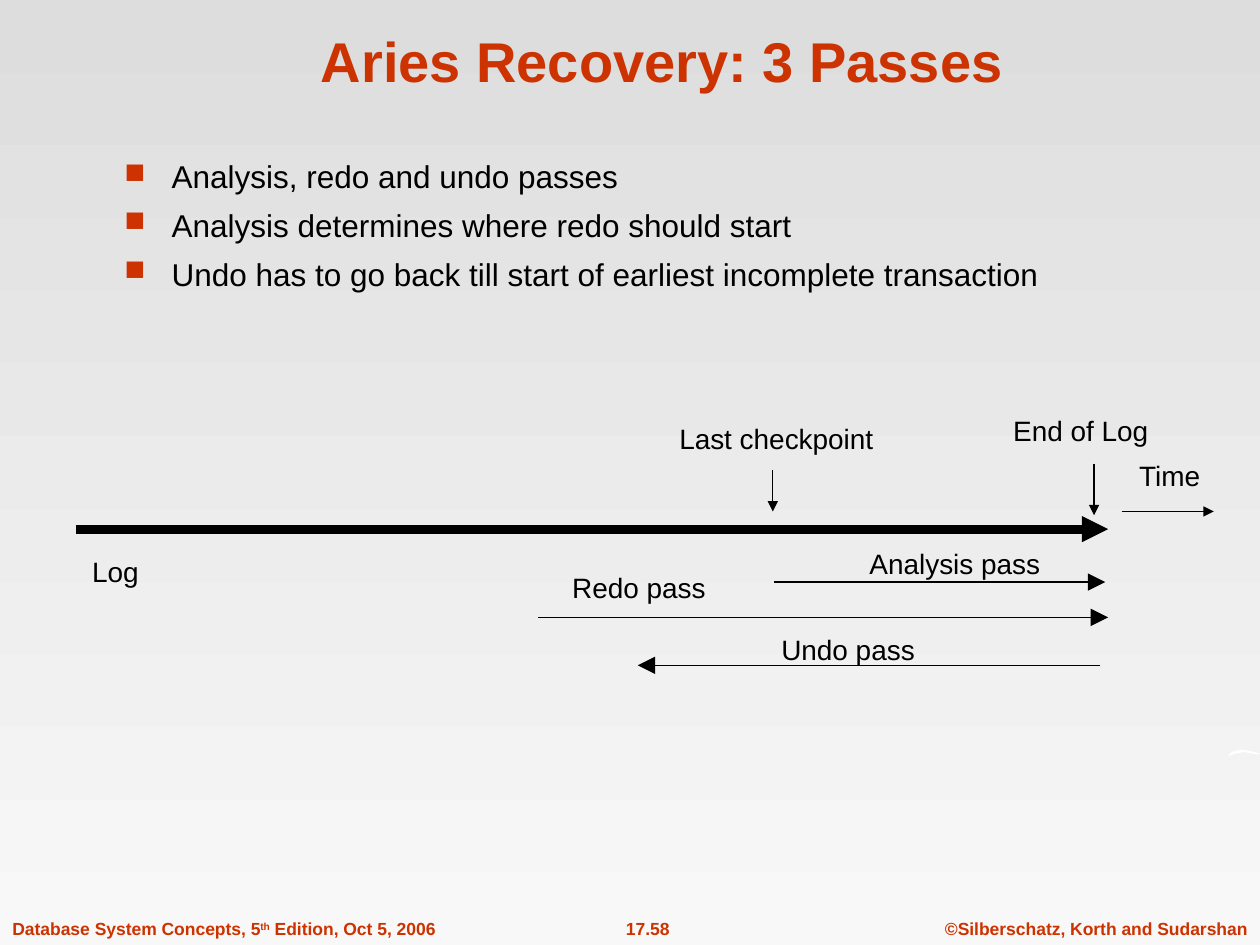
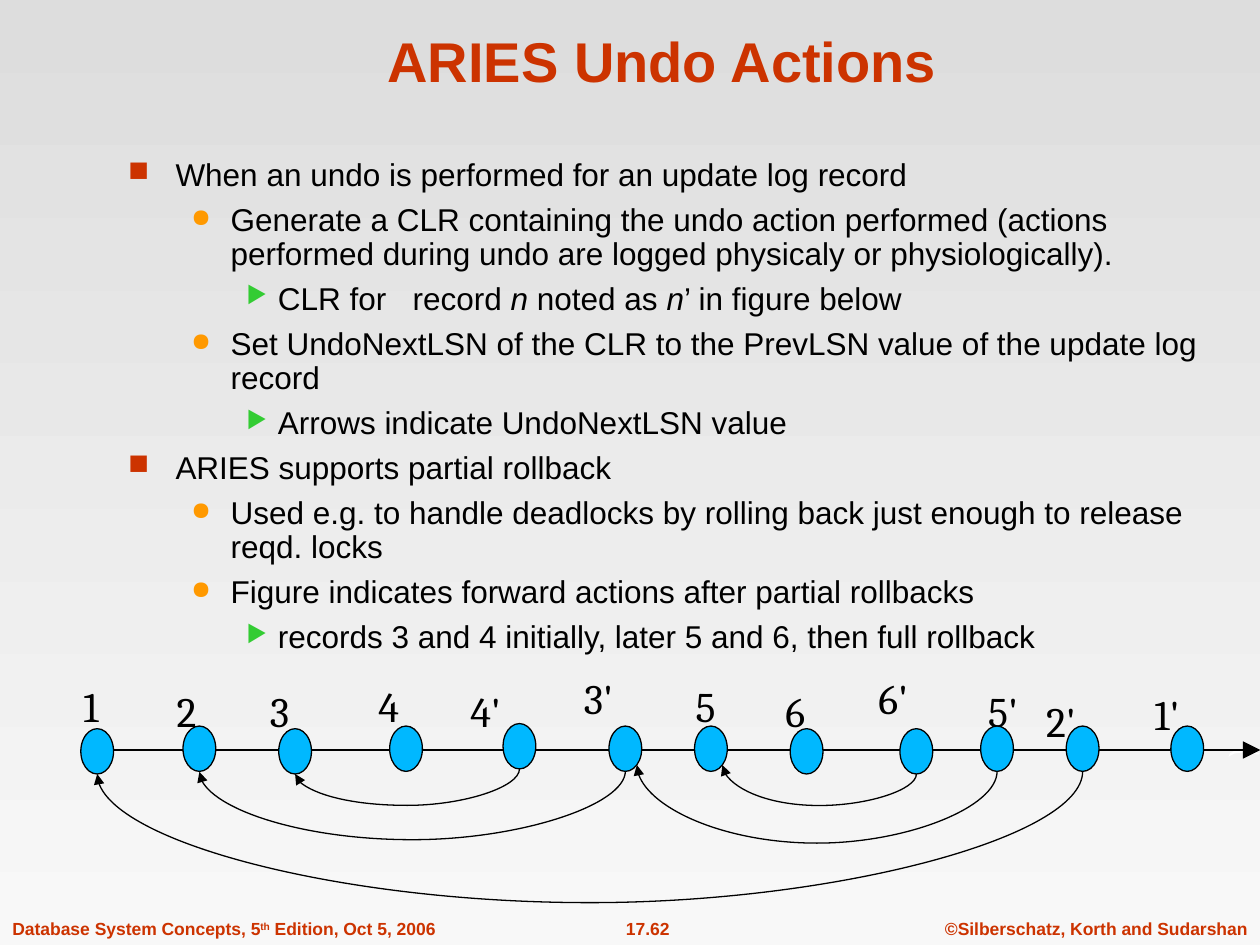
import lxml.etree
import pptx
import pptx.dml.color
import pptx.enum.shapes
import pptx.enum.text
import pptx.oxml.ns
import pptx.util

Pt = pptx.util.Pt
ALIGN = pptx.enum.text.PP_ALIGN
ANCHOR = pptx.enum.text.MSO_ANCHOR
CONNECTOR = pptx.enum.shapes.MSO_CONNECTOR

RED, BLACK, WHITE, BLUE = "CC3300", "000000", "FFFFFF", "00B8FF"
SKY_TOP, SKY_BOTTOM = "DDDDDD", "F8F8F8"
FONT, NODE_FONT = "Arial", "Cambria"

BULLETS = [
    ("■", RED, 90, 27, -27),
    ("●", "FF9900", 80, 58.5, -22.5),
    ("▶", "33CC33", 75, 85.5, -18),
]
SWOOSH = [
    (0, 4.3), (0.7, 2.2), (2.9, 0.9), (7.2, 0), (12.2, 0.7), (18, 2.2),
    (17.3, 2.9), (15.1, 2.5), (9.4, 1.4), (3.6, 2.2), (0.7, 3.6),
]

PASSES = [
    (0, ["Analysis, redo and undo passes"]),
    (0, ["Analysis determines where redo should start"]),
    (0, ["Undo has to go back till start of earliest incomplete transaction"]),
]
LOG_ARROWS = [
    (0, 70.4, 590, 70.4, 5, "med"),
    (597.8, 60.3, 650.4, 60.3, 0.75, "med"),
    (398.4, 36.6, 398.4, 60.3, 0.75, "med"),
    (399.1, 100.6, 588.4, 100.6, 0.75, "lg"),
    (582, 33, 582, 62.5, 0.75, "med"),
    (264.4, 120.8, 590, 120.8, 0.75, "lg"),
    (585.6, 148.2, 321.3, 148.2, 0.75, "lg"),
]
LOG_LABELS = [
    ("Last checkpoint", 337.9, 5.6, 125.3),
    ("Log", 2.4, 81.2, 41),
    ("Time", 600.7, 26.5, 49.7),
    ("End of Log", 528.7, 0.6, 92.2),
    ("Analysis pass", 446.6, 76.9, 114),
    ("Redo pass", 276.7, 90.6, 90.7),
    ("Undo pass", 396.2, 125.8, 90.7),
]

UNDO_POINTS = [
    (0, ["When an undo is performed for an update log record"]),
    (1, ["Generate a CLR containing the undo action performed (actions performed "
         "during undo are logged physicaly or physiologically)."]),
    (2, ["CLR for", (" ", "wide"), "record ", ("n", "italic"), " noted as ",
         ("n", "italic"), "’ in figure below"]),
    (1, ["Set UndoNextLSN of the CLR to the PrevLSN value of the update log record"]),
    (2, ["Arrows indicate UndoNextLSN value"]),
    (0, ["ARIES supports partial rollback"]),
    (1, ["Used e.g. to handle deadlocks by rolling back just enough to release reqd. locks"]),
    (1, ["Figure indicates forward actions after partial rollbacks"]),
    (2, ["records 3 and 4 initially, later 5 and 6, then full rollback"]),
]
NODE_WIDTH, NODE_HEIGHT = 18.7, 25.9
NODES = {
    "1": (0, 28.2, 1.5, 5.1),
    "2": (58.4, 26.7, 54.8, 8),
    "3": (113.1, 28.2, 108.1, 8),
    "4": (176.5, 26.7, 170, 5.1),
    "4'": (241.3, 25.3, 222.6, 8),
    "3'": (301.8, 26.7, 287.4, 0.8),
    "5": (350.7, 26.7, 351.4, 5.1),
    "6": (405.4, 28.2, 402.6, 8),
    "6'": (468.1, 28.2, 455.8, 0.8),
    "5'": (514.2, 26.7, 518.5, 8),
    "2'": (563.1, 26.7, 551.6, 13.8),
    "1'": (622.9, 26.7, 613.5, 9.4),
}
NODES_BEHIND_LABELS = 7
BOTTOM, LOWER_RIGHT = (0.5, 1), (0.85, 0.86)
UNDO_LINKS = [
    ("2'", "1", BOTTOM, 74.9),
    ("6'", "5", LOWER_RIGHT, 18),
    ("5'", "3'", LOWER_RIGHT, 41),
    ("3'", "2", BOTTOM, 38.5),
    ("4'", "3", BOTTOM, 20.9),
]


def colour(value):
    """Turn a hex string into a colour."""
    return pptx.dml.color.RGBColor.from_string(value)


def add_xml(parent, tag, **attributes):
    """Append a drawing element with the given attributes."""
    return lxml.etree.SubElement(parent, pptx.oxml.ns.qn(tag), **attributes)


def add_spans(para, pieces, size, ink=BLACK, font=FONT, bold=False):
    """Add the pieces of a paragraph run by run."""
    for piece in pieces:
        text, style = (piece, "") if isinstance(piece, str) else piece
        span = para.add_run()
        span.text = text
        span.font.name, span.font.size = font, Pt(size)
        span.font.bold, span.font.italic = bold, style == "italic"
        span.font.color.rgb = colour(ink)
        if style == "superscript":
            span.font._element.set("baseline", "30000")
        if style == "wide":
            span.font._element.set("spc", "1000")


def add_frame(page, left, top, width, height, wrap=True, inset=True):
    """Add a text box and return its text frame."""
    frame = page.shapes.add_textbox(Pt(left), Pt(top), Pt(width), Pt(height)).text_frame
    frame.word_wrap = wrap
    if not wrap:
        frame.auto_size = pptx.enum.text.MSO_AUTO_SIZE.SHAPE_TO_FIT_TEXT
    if not inset:
        frame.margin_left = frame.margin_right = frame.margin_top = frame.margin_bottom = 0
    return frame


def finish_arrow(connector, weight, head):
    """Give a connector its black line, arrowhead and no shadow."""
    connector.line.color.rgb = colour(BLACK)
    connector.line.width = Pt(weight)
    add_xml(connector.line._get_or_add_ln(), "a:tailEnd", type="triangle", w=head, len=head)
    add_xml(connector._element.spPr, "a:effectLst")


def add_arrow(page, x1, y1, x2, y2, weight, head):
    """Draw a straight arrow."""
    line = page.shapes.add_connector(CONNECTOR.STRAIGHT, Pt(x1), Pt(y1), Pt(x2), Pt(y2))
    finish_arrow(line, weight, head)


def add_arc(page, x1, y1, x2, y2, sag):
    """Draw a curved arrow from right to left that hangs below its ends."""
    rise = y2 - y1 or 0.5
    sign = 1 if rise > 0 else -1
    middle_x, middle_y = (x1 + x2) / 2, (y1 + y2) / 2
    half_width, half_height = abs(rise) / 2, sign * (x1 - x2) / 2
    arc = page.shapes.add_connector(
        CONNECTOR.CURVE,
        Pt(middle_x - half_width), Pt(middle_y - half_height),
        Pt(middle_x + half_width), Pt(middle_y + half_height))
    properties = arc._element.spPr
    properties.find(pptx.oxml.ns.qn("a:xfrm")).set("rot", str((180 - sign * 90) * 60000))
    geometry = properties.find(pptx.oxml.ns.qn("a:prstGeom"))
    bends = geometry.find(pptx.oxml.ns.qn("a:avLst"))
    add_xml(bends, "a:gd", name="adj1", fmla=f"val {round(sag / rise * 100000)}")
    finish_arrow(arc, 0.75, "med")


def add_footer(page, number, top=521, height=19.4):
    """Write the three footer texts."""
    edition = ["Database System Concepts, 5", ("th", "superscript"), " Edition, Oct 5, 2006"]
    for left, width, pieces, align in [
        (532.8, 187.2, ["©Silberschatz, Korth and Sudarshan"], ALIGN.CENTER),
        (350, 40.3, [number], ALIGN.CENTER),
        (0, 257, edition, ALIGN.LEFT),
    ]:
        para = add_frame(page, left, top, width, height, wrap=False).paragraphs[0]
        para.alignment = align
        add_spans(para, pieces, 10, RED, bold=True)


def add_swoosh(page, left=702, top=428.4):
    """Draw the small white stroke at the right edge."""
    points = [(Pt(left + x), Pt(top + y)) for x, y in SWOOSH]
    builder = page.shapes.build_freeform(*points[0])
    builder.add_line_segments(points[1:], close=True)
    stroke = builder.convert_to_shape()
    stroke.shadow.inherit = False
    stroke.fill.solid()
    stroke.fill.fore_color.rgb = colour(WHITE)
    stroke.line.fill.background()


def add_page(deck, title, number):
    """Start a slide with the shared background, footer and title."""
    page = deck.slides.add_slide(deck.slide_layouts[6])
    fill = page.background.fill
    fill.gradient()
    fill.gradient_angle = 270
    for stop, shade in zip(fill.gradient_stops, (SKY_TOP, SKY_BOTTOM)):
        stop.color.rgb = colour(shade)
    add_footer(page, number)
    add_swoosh(page)
    frame = add_frame(page, 60.5, 9, 635.8, 48.2)
    frame.vertical_anchor = ANCHOR.BOTTOM
    frame.paragraphs[0].alignment = ALIGN.CENTER
    add_spans(frame.paragraphs[0], [title], 32, RED, bold=True)
    return page


def add_bullets(page, items, left, top, width, height, spacing=1.0):
    """Write a bulleted list of up to three levels."""
    frame = add_frame(page, left, top, width, height)
    for index, (level, pieces) in enumerate(items):
        para = frame.add_paragraph() if index else frame.paragraphs[0]
        para.level = level
        para.line_spacing = spacing
        para.space_before = Pt(6.3)
        mark, ink, percent, margin, indent = BULLETS[level]
        properties = para._p.get_or_add_pPr()
        properties.set("marL", str(Pt(margin)))
        properties.set("indent", str(Pt(indent)))
        add_xml(add_xml(properties, "a:buClr"), "a:srgbClr", val=ink)
        add_xml(properties, "a:buSzPct", val=str(percent * 1000))
        add_xml(properties, "a:buChar", char=mark)
        add_spans(para, pieces, 18)


def add_log_timeline(page, left, top):
    """Draw the log axis with the three recovery passes."""
    for x1, y1, x2, y2, weight, head in LOG_ARROWS:
        add_arrow(page, left + x1, top + y1, left + x2, top + y2, weight, head)
    for text, x, y, width in LOG_LABELS:
        frame = add_frame(page, left + x, top + y, width, 26.6, wrap=False)
        add_spans(frame.paragraphs[0], [text], 16)


def add_node(page, left, top):
    """Draw one log record as a blue oval."""
    oval = page.shapes.add_shape(
        pptx.enum.shapes.MSO_SHAPE.OVAL, Pt(left), Pt(top), Pt(NODE_WIDTH), Pt(NODE_HEIGHT))
    oval.shadow.inherit = False
    oval.fill.solid()
    oval.fill.fore_color.rgb = colour(BLUE)
    oval.line.color.rgb = colour(BLACK)
    oval.line.width = Pt(0.75)


def add_undo_chain(page, left, top):
    """Draw the chain of log records and their undo links."""
    add_arrow(page, left + 0.8, top + 40.4, left + 674, top + 40.4, 0.75, "lg")
    places = list(NODES.values())
    for x, y, _, _ in places[:NODES_BEHIND_LABELS]:
        add_node(page, left + x, top + y)
    for label, (_, _, x, y) in NODES.items():
        width = 11.5 if len(label) == 1 else 18.7
        frame = add_frame(page, left + x, top + y, width, 28.8, inset=False)
        frame.paragraphs[0].line_spacing = 0.85
        add_spans(frame.paragraphs[0], [label], 24, font=NODE_FONT)
    for x, y, _, _ in places[NODES_BEHIND_LABELS:]:
        add_node(page, left + x, top + y)
    for source, target, (across, down), sag in UNDO_LINKS:
        x1, y1 = NODES[source][:2]
        x2, y2 = NODES[target][:2]
        add_arc(page, left + x1 + NODE_WIDTH / 2, top + y1 + NODE_HEIGHT,
                left + x2 + NODE_WIDTH * across, top + y2 + NODE_HEIGHT * down, sag)


def main():
    """Build the two slides and save the deck."""
    deck = pptx.Presentation()
    deck.slide_width, deck.slide_height = Pt(720), Pt(540)

    page = add_page(deck, "Aries Recovery: 3 Passes", "17.58")
    add_bullets(page, PASSES, 64, 86.4, 603.4, 139)
    add_log_timeline(page, 43.2, 232)

    page = add_page(deck, "ARIES Undo Actions", "17.62")
    add_bullets(page, UNDO_POINTS, 66.2, 87.4, 653.8, 236.2, spacing=0.9)
    add_undo_chain(page, 46.2, 388.2)

    deck.save("out.pptx")


if __name__ == "__main__":
    main()
